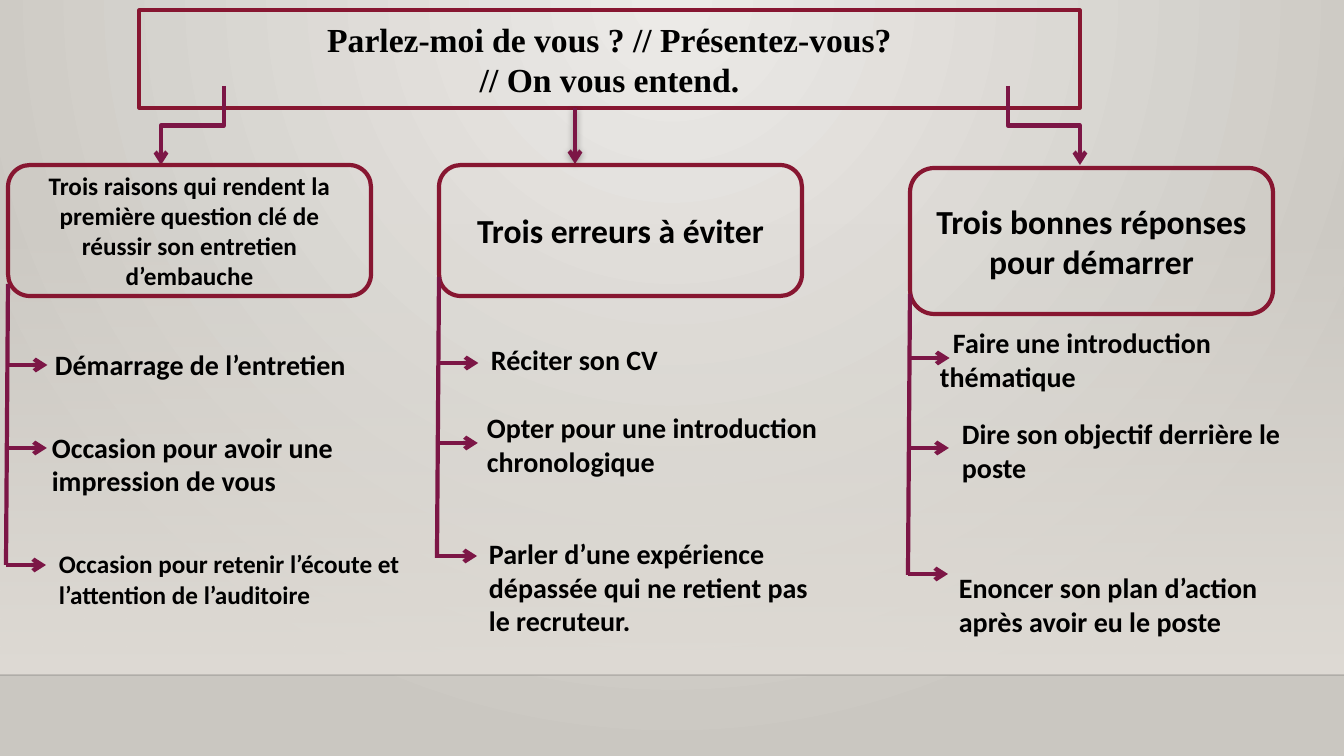
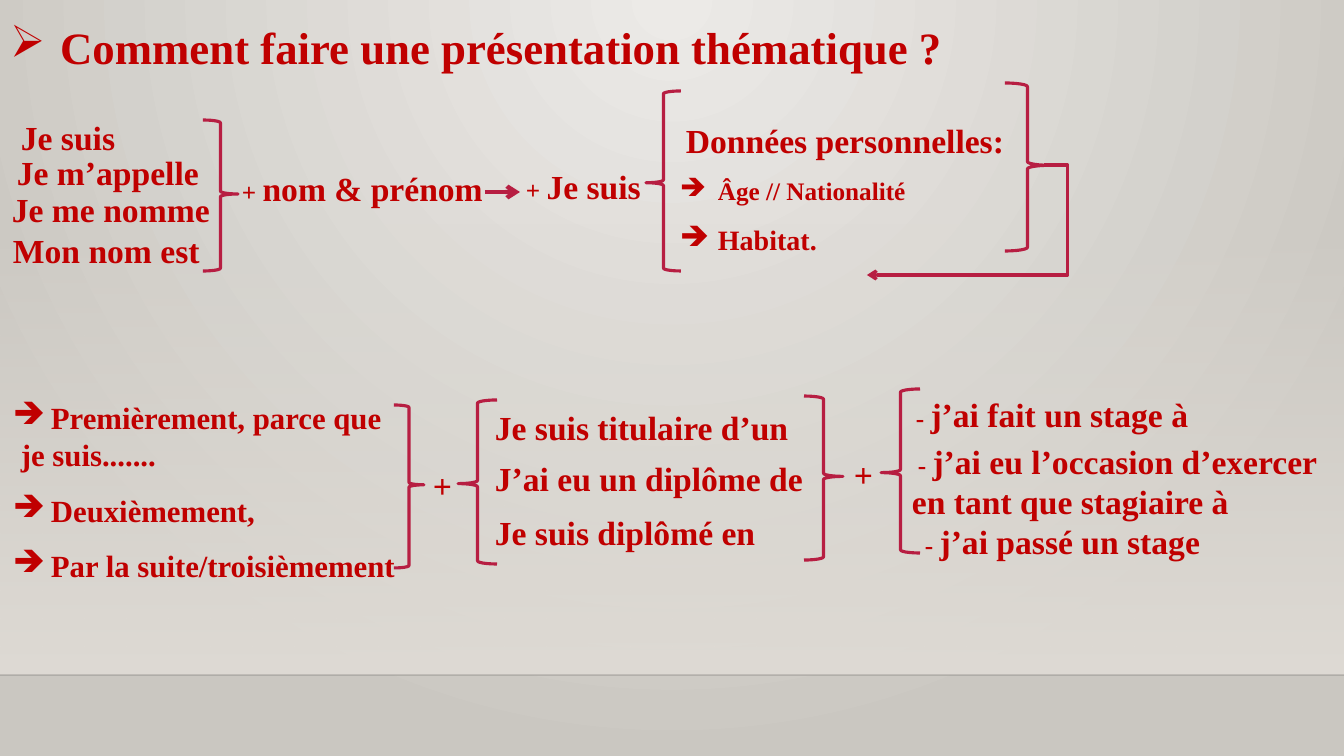
from dataclasses import dataclass

from lxml import etree
from pptx import Presentation
from pptx import util as u
from pptx.dml.color import RGBColor
from pptx.enum import shapes, text
from pptx.oxml.ns import qn

SLIDE_SIZE = 1344, 756
EMU_PER_PX = 12192000 / SLIDE_SIZE[0]


@dataclass(frozen=True)
class Theme:
    glow: str = "ECEAE7"
    edge: str = "CAC7C1"
    floor: str = "DFDBD5"
    black: str = "000000"
    red: str = "C00000"
    outline: str = "871631"
    plum: str = "7C1646"
    crimson: str = "B71E42"
    sans: str = "Calibri"
    serif: str = "Times New Roman"
    title: int = 32
    large: int = 24
    medium: int = 22
    normal: int = 20
    small: int = 18
    thin: float = 2.25
    thick: float = 3


THEME = Theme()
FLOOR_TOP, FLOOR_BOTTOM = 223, 675

# Slide 1: boxes are left, top, width, height
QUESTION = ["Parlez-moi de vous ? // Présentez-vous?", "// On vous entend."]
QUESTION_BOX = 139, 10, 941, 98
BRANCHES = [((224, 86), (161, 165)), ((1008, 86), (1080, 165))]
MIDDLE_BRANCH = (575, 108), (575, 164)
STEM_HEIGHT, STEM_LEAN, TICK = 281, 2, 40
COLUMNS = [
    {
        "heading": "Trois raisons qui rendent la première question clé de "
                   "réussir son entretien d’embauche",
        "size": THEME.small, "box": (8, 165, 363, 131), "stem_top": 284,
        "points": [
            (365, (45, 324, 353, 80), "Démarrage de l’entretien", {}),
            (448, (42, 424, 357, 80), "Occasion pour avoir une impression de vous", {}),
            (565, (49, 539, 365, 80),
             "Occasion pour retenir l’écoute et l’attention de l’auditoire",
             {"size": THEME.small}),
        ],
    },
    {
        "heading": "Trois erreurs à éviter",
        "size": THEME.large, "box": (439, 165, 363, 131), "stem_top": 277,
        "points": [
            (363, (481, 325, 353, 68), "Réciter son CV", {}),
            (443, (477, 410, 391, 68), "Opter pour une introduction chronologique", {}),
            (556, (479, 524, 353, 126),
             "Parler d’une expérience dépassée qui ne retient pas le recruteur.", {}),
        ],
    },
    {
        "heading": "Trois bonnes réponses pour démarrer",
        "size": THEME.large, "box": (910, 168, 363, 146), "stem_top": 294,
        "points": [
            (358, (930, 325, 398, 68), "Faire une introduction thématique", {"indent": 13}),
            (448, (952, 416, 353, 68), "Dire son objectif derrière le poste", {}),
            (574, (949, 540, 353, 128), "Enoncer son plan d’action après avoir eu le poste", {}),
        ],
    },
]

# Slide 2: each paragraph is (prefix, wording, options)
ARROW_BULLET = {"bullet": "➔", "hanging": 38}
SPACED = {"spacing": 1.5}
THEMATIC_TITLE = "Comment faire une présentation thématique ?"
THEMATIC_BOX = 0, 12, 1005, 70
NOTES = [
    ((11, 112, 137, 50), [("", "Je suis", {})]),
    ((7, 147, 230, 50), [("", "Je m’appelle", {})]),
    ((2, 184, 248, 50), [("", "Je me nomme", {})]),
    ((3, 225, 248, 50), [("", "Mon nom est", {})]),
    ((232, 163, 274, 50), [("+ ", "nom & prénom", {})]),
    ((516, 161, 165, 50), [("+ ", "Je suis", {})]),
    ((670, 95, 346, 168), [
        ("", "Données personnelles:", {"indent": 6, **SPACED}),
        ("", "Âge // Nationalité", {"size": THEME.small, **ARROW_BULLET, **SPACED}),
        ("", "Habitat.", {"size": THEME.normal, **ARROW_BULLET, **SPACED}),
    ]),
    ((3, 394, 435, 197), [
        ("", "Premièrement, parce que", {"size": THEME.medium, **ARROW_BULLET}),
        ("", "je suis.......", {"size": THEME.medium, "indent": 8}),
        ("", "Deuxièmement,", {"size": THEME.medium, **ARROW_BULLET, **SPACED}),
        ("", "Par la suite/troisièmement", {"size": THEME.medium, **ARROW_BULLET, **SPACED}),
    ]),
    ((423, 460, 46, 50), [("", "+", {})]),
    ((485, 402, 347, 50), [("", "Je suis titulaire d’un", {})]),
    ((485, 453, 359, 50), [("", "J’ai eu un diplôme de", {})]),
    ((485, 507, 359, 50), [("", "Je suis diplômé en", {})]),
    ((844, 449, 46, 50), [("", "+", {})]),
    ((906, 389, 347, 50), [("- ", "j’ai fait un stage à", {})]),
    ((902, 436, 441, 92), [
        ("- ", "j’ai eu l’occasion d’exercer en tant que stagiaire à", {"indent": 6}),
    ]),
    ((915, 516, 420, 50), [("- ", "j’ai passé un stage", {})]),
]
RIGHT_BRACES = [(203, 120, 35, 151), (1005, 83, 45, 168),
                (394, 405, 30, 163), (804, 396, 39, 164)]
LEFT_BRACES = [(646, 91, 35, 180), (458, 400, 39, 164), (881, 389, 39, 164)]
NAME_ARROW = (485, 192), (520, 192)
RETURN_ARROW = (1044, 165), (867, 275)
RETURN_BEND = -13400


def px(value):
    return u.Emu(round(value * EMU_PER_PX))


def emu(values):
    return [px(value) for value in values]


def apply(target, **values):
    for name, value in values.items():
        setattr(target, name, value)


def add_node(parent, tag, **attributes):
    return etree.SubElement(parent, qn(tag), {k: str(v) for k, v in attributes.items()})


def place(shape, box):
    apply(shape, **dict(zip(("left", "top", "width", "height"), emu(box))))


def set_line(shape, colour, width):
    shape.line.color.rgb = RGBColor.from_string(colour)
    shape.line.width = u.Pt(width)


def paint_gradient(element, stops, shade, **attributes):
    """Replace the first solid fill; stops are (position, colour, opacity)."""
    solid = element.find(".//" + qn("a:solidFill"))
    gradient = etree.Element(qn("a:gradFill"), rotWithShape="1")
    stop_list = add_node(gradient, "a:gsLst")
    for position, colour, opacity in stops:
        stop = add_node(stop_list, "a:gs", pos=position * 1000)
        add_node(add_node(stop, "a:srgbClr", val=colour), "a:alpha", val=opacity * 1000)
    direction = add_node(gradient, shade, **attributes)
    if shade == "a:path":
        add_node(direction, "a:fillToRect", l=43000, t=0, r=43000, b=100000)
    solid.getparent().replace(solid, gradient)


def write(frame, paragraphs, font, colour, size, anchor, align=text.PP_ALIGN.LEFT):
    apply(frame, word_wrap=True, auto_size=text.MSO_AUTO_SIZE.NONE, vertical_anchor=anchor)
    for index, (prefix, wording, options) in enumerate(paragraphs):
        paragraph = frame.add_paragraph() if index else frame.paragraphs[0]
        properties = paragraph._p.get_or_add_pPr()
        if "bullet" in options:
            hanging = px(options["hanging"])
            properties.set("marL", str(hanging))
            properties.set("indent", str(-hanging))
            add_node(properties, "a:buChar", char=options["bullet"])
        elif "indent" in options:
            properties.set("indent", str(px(options["indent"])))
        apply(paragraph, alignment=align, line_spacing=options.get("spacing", 1.0))
        for part, points in ((prefix, THEME.small), (wording, options.get("size", size))):
            if part:
                run = paragraph.add_run()
                run.text = part
                apply(run.font, name=font, size=u.Pt(points), bold=True)
                run.font.color.rgb = RGBColor.from_string(colour)


def add_outline(slide, kind, box, colour, width):
    shape = slide.shapes.add_shape(kind, *emu(box))
    shape.shadow.inherit = False
    shape.fill.background()
    set_line(shape, colour, width)
    return shape


def add_line(slide, start, end, colour, width=THEME.thick, arrow=True,
             kind=shapes.MSO_CONNECTOR.STRAIGHT):
    connector = slide.shapes.add_connector(kind, *emu((*start, *end)))
    set_line(connector, colour, width)
    properties = connector.element.spPr
    if arrow:
        add_node(properties.find(qn("a:ln")), "a:tailEnd", type="arrow")
    add_node(properties, "a:effectLst")
    return connector


def add_vertical_elbow(slide, start, end, colour):
    """Draw an elbow that leaves downwards: a horizontal elbow turned a quarter."""
    (x1, y1), (x2, y2) = start, end
    middle_x, middle_y = (x1 + x2) / 2, (y1 + y2) / 2
    side = 1 if x2 < x1 else -1
    half_width, half_height = side * (y2 - y1) / 2, abs(x2 - x1) / 2
    connector = add_line(slide, (middle_x - half_width, middle_y - half_height),
                         (middle_x + half_width, middle_y + half_height), colour,
                         kind=shapes.MSO_CONNECTOR.ELBOW)
    connector.element.spPr.xfrm.set("rot", str(5400000 if side > 0 else 16200000))


def add_text(slide, box, paragraphs, font, colour, size, anchor):
    shape = slide.shapes.add_textbox(*emu(box))
    write(shape.text_frame, paragraphs, font, colour, size, anchor)


def build_master(presentation, slide):
    """Give the master its backdrop; shapes are made on a slide, then moved."""
    master = presentation.slide_master
    master.background.fill.solid()
    paint_gradient(master.element, [(0, THEME.glow, 100), (100, THEME.edge, 100)],
                   "a:path", path="circle")
    floor = slide.shapes.add_shape(
        shapes.MSO_SHAPE.RECTANGLE,
        *emu((0, FLOOR_TOP, SLIDE_SIZE[0], FLOOR_BOTTOM - FLOOR_TOP)))
    floor.shadow.inherit = False
    floor.line.fill.background()
    floor.fill.solid()
    paint_gradient(floor.element, [(0, THEME.floor, 0), (100, THEME.floor, 100)],
                   "a:lin", ang=5400000, scaled=0)
    edge = add_line(slide, (0, FLOOR_BOTTOM), (SLIDE_SIZE[0], FLOOR_BOTTOM),
                    THEME.black, 1, arrow=False)
    add_node(edge.element.find(".//" + qn("a:srgbClr")), "a:alpha", val=20000)
    for position, shape in enumerate((floor, edge), start=2):
        master.shapes.element.insert(position, shape.element)


def build_question_slide(slide):
    title = slide.shapes.title
    place(title, QUESTION_BOX)
    geometry = add_node(title.element.spPr, "a:prstGeom", prst="ellipse")
    add_node(geometry, "a:avLst")
    set_line(title, THEME.outline, THEME.thin)
    middle, centre = text.MSO_ANCHOR.MIDDLE, text.PP_ALIGN.CENTER
    write(title.text_frame, [("", line, {}) for line in QUESTION],
          THEME.serif, THEME.black, THEME.large, middle, centre)

    branch = add_line(slide, *MIDDLE_BRANCH, THEME.plum)
    shadow = add_node(branch.element.spPr.find(qn("a:effectLst")), "a:outerShdw",
                      blurRad=u.Pt(5), dist=u.Pt(1), dir=5400000)
    add_node(add_node(shadow, "a:srgbClr", val=THEME.black), "a:alpha", val=32000)
    for start, end in BRANCHES:
        add_vertical_elbow(slide, start, end, THEME.plum)

    for column in COLUMNS:
        box = add_outline(slide, shapes.MSO_SHAPE.ROUNDED_RECTANGLE, column["box"],
                          THEME.outline, THEME.thick)
        write(box.text_frame, [("", column["heading"], {})],
              THEME.sans, THEME.black, column["size"], middle, centre)
        left, top = column["box"][0], column["stem_top"]
        add_line(slide, (left, top), (left - STEM_LEAN, top + STEM_HEIGHT),
                 THEME.plum, arrow=False)
        for y, place_box, wording, options in column["points"]:
            x = left - STEM_LEAN * (y - top) / STEM_HEIGHT
            add_line(slide, (x, y), (x + TICK, y), THEME.plum)
            add_text(slide, place_box, [("", wording, options)],
                     THEME.sans, THEME.black, THEME.normal, middle)


def build_thematic_slide(slide):
    title = slide.shapes.title
    place(title, THEMATIC_BOX)
    write(title.text_frame, [("", THEMATIC_TITLE, {"bullet": "➢", "hanging": 50})],
          THEME.serif, THEME.red, THEME.title, text.MSO_ANCHOR.MIDDLE)
    for box, paragraphs in NOTES:
        add_text(slide, box, paragraphs, THEME.serif, THEME.red, THEME.large,
                 text.MSO_ANCHOR.TOP)
    for kind, boxes, tip in ((shapes.MSO_SHAPE.RIGHT_BRACE, RIGHT_BRACES, 0.49),
                             (shapes.MSO_SHAPE.LEFT_BRACE, LEFT_BRACES, 0.51)):
        for box in boxes:
            brace = add_outline(slide, kind, box, THEME.crimson, THEME.thin)
            brace.adjustments[0], brace.adjustments[1] = 0.08, tip
    add_line(slide, *NAME_ARROW, THEME.crimson)
    elbow = add_line(slide, *RETURN_ARROW, THEME.crimson, THEME.thin,
                     kind=shapes.MSO_CONNECTOR.ELBOW)
    add_node(elbow.element.find(".//" + qn("a:avLst")), "a:gd",
             name="adj1", fmla=f"val {RETURN_BEND}")


def main():
    presentation = Presentation()
    presentation.slide_width, presentation.slide_height = emu(SLIDE_SIZE)
    layout = presentation.slide_layouts[5]
    question, thematic = (presentation.slides.add_slide(layout) for _ in range(2))
    build_master(presentation, question)
    build_question_slide(question)
    build_thematic_slide(thematic)
    presentation.save("out.pptx")


if __name__ == "__main__":
    main()
